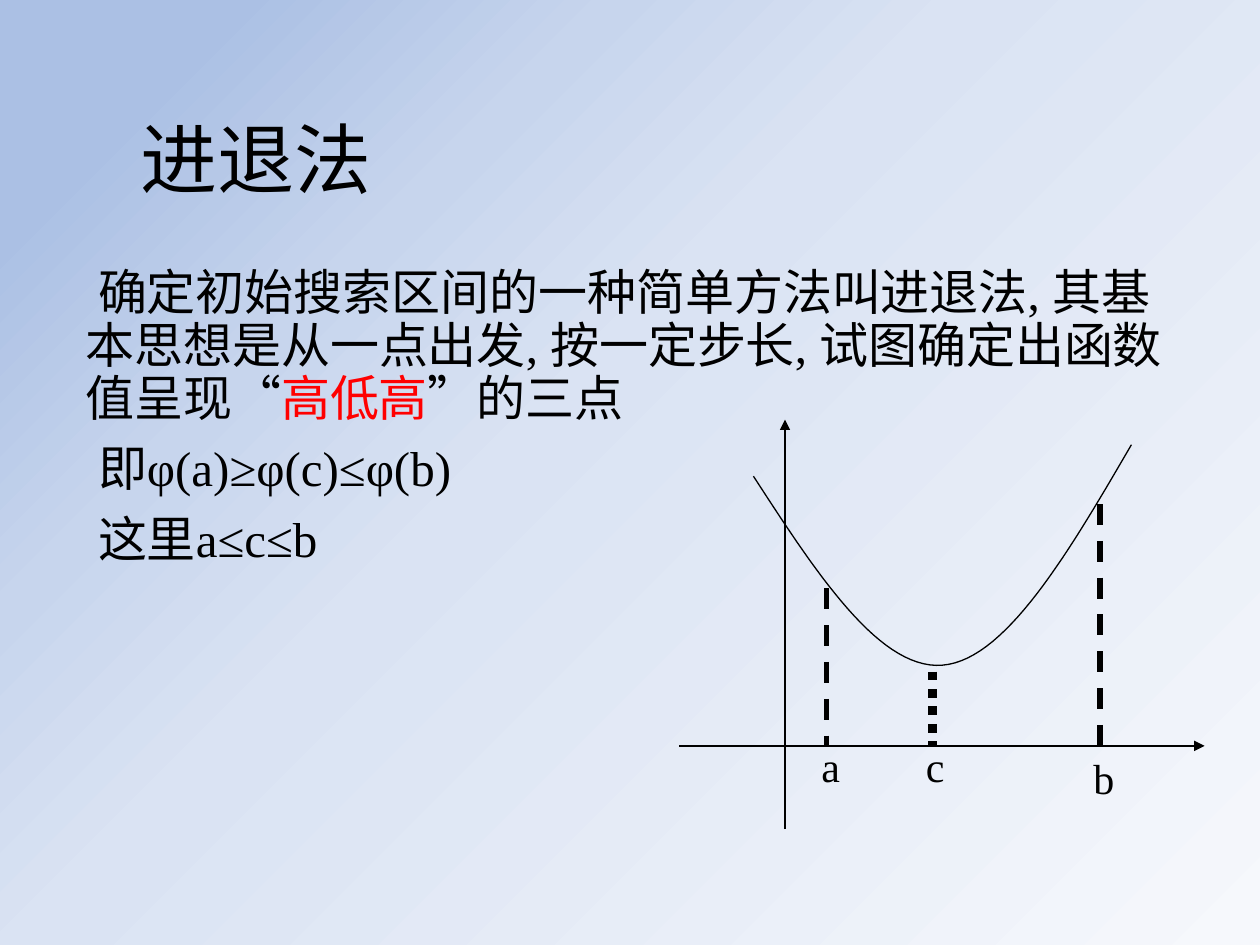
from lxml import etree
from pptx import Presentation
from pptx.dml.color import RGBColor
from pptx.enum.dml import MSO_LINE
from pptx.enum.shapes import MSO_CONNECTOR
from pptx.enum.text import MSO_ANCHOR, MSO_AUTO_SIZE
from pptx.oxml import parse_xml
from pptx.oxml.ns import nsdecls, qn
from pptx.util import Inches, Pt

BLACK, RED = "000000", "FF0000"
SERIF, SANS = "Times New Roman", "Calibri"
GRADIENT = [(5, "ABC0E4"), (11, "ABC0E4"), (28, "C7D5ED"), (44, "DAE3F3"), (100, "F6F8FC")]


def rgb(value):
    return RGBColor.from_string(value)


def bezier(p0, p1, p2, p3, steps=30):
    """Points along a cubic curve, without its starting point."""
    for i in range(1, steps + 1):
        t = i / steps
        weights = ((1 - t) ** 3, 3 * t * (1 - t) ** 2, 3 * t * t * (1 - t), t ** 3)
        yield tuple(sum(w * p[axis] for w, p in zip(weights, (p0, p1, p2, p3))) for axis in (0, 1))


class Builder:
    def __init__(self, slide):
        self.s = slide

    def background(self, stops, angle):
        gs = "".join(f'<a:gs pos="{pos * 1000}"><a:srgbClr val="{color}"/></a:gs>'
                     for pos, color in stops)
        bg = parse_xml(f'<p:bg {nsdecls("p", "a")}><p:bgPr><a:gradFill><a:gsLst>{gs}</a:gsLst>'
                       f'<a:lin ang="{angle * 60000}" scaled="0"/></a:gradFill>'
                       '<a:effectLst/></p:bgPr></p:bg>')
        self.s.element.cSld.insert(0, bg)

    def text(self, box, paragraphs, size, font=SERIF, margin=0, indent=0, frame=None, spacing=None):
        """Add a text box; each paragraph is a list of (text, colour) runs."""
        tf = self.s.shapes.add_textbox(*map(Inches, box)).text_frame
        for name, value in {"word_wrap": True, **(frame or {})}.items():
            setattr(tf, name, value)
        for i, runs in enumerate(paragraphs):
            p = tf.add_paragraph() if i else tf.paragraphs[0]
            for name, value in (spacing or {}).items():
                setattr(p, name, value)
            pPr = p._p.get_or_add_pPr()
            pPr.set("marL", str(Inches(margin)))
            pPr.set("indent", str(Inches(indent)))
            for words, color in runs:
                r = p.add_run()
                r.text = words
                for name, value in {"size": Pt(size), "name": font}.items():
                    setattr(r.font, name, value)
                r.font.color.rgb = rgb(color)

    def line(self, start, end, width=0.75, dash=None, arrow=False):
        c = self.s.shapes.add_connector(MSO_CONNECTOR.STRAIGHT, *map(Inches, start + end))
        c.line.color.rgb = rgb(BLACK)
        c.line.width = Pt(width)
        if dash:
            c.line.dash_style = dash
        if arrow:
            etree.SubElement(c.line._get_or_add_ln(), qn("a:tailEnd"), type="triangle")
        etree.SubElement(c._element.spPr, qn("a:effectLst"))

    def curve(self, start, *segments):
        points = [start]
        for segment in segments:
            points += bezier(points[-1], *segment)
        points = [(Inches(x), Inches(y)) for x, y in points]
        fb = self.s.shapes.build_freeform(*points[0])
        fb.add_line_segments(points[1:], close=False)
        sp = fb.convert_to_shape()
        sp.shadow.inherit = False
        sp.fill.background()
        sp.line.color.rgb = rgb(BLACK)
        sp.line.width = Pt(0.75)


def main():
    prs = Presentation()
    prs.slide_width, prs.slide_height = Inches(10), Inches(7.5)
    b = Builder(prs.slides.add_slide(prs.slide_layouts[6]))
    b.background(GRADIENT, 45)

    b.text((0.33, 0.67, 9.34, 1.25), [[("进退法", BLACK)]], 44, SANS, margin=0.69,
           frame={"vertical_anchor": MSO_ANCHOR.MIDDLE}, spacing={"line_spacing": 0.9})
    b.text((0.33, 2.08, 9.25, 4.59), [
        [("确定初始搜索区间的一种简单方法叫进退法, 其基本思想是从一点出发, 按一定步长, "
          "试图确定出函数值呈现“", BLACK), ("高低高", RED), ("”的三点", BLACK)],
        [("即φ(a)≥φ(c)≤φ(b)", BLACK)],
        [("这里a≤c≤b", BLACK)],
    ], 28, margin=0.25, indent=0.1, spacing={"line_spacing": 0.9, "space_before": Pt(10)})

    axis_y = 5.92
    b.line((5.39, axis_y), (9.56, axis_y), arrow=True)
    b.line((6.23, 6.58), (6.23, 3.33), arrow=True)
    b.curve((5.98, 3.78),
            ((6.48, 4.55), (6.98, 5.32), (7.48, 5.28)),
            ((7.98, 5.24), (8.48, 4.39), (8.98, 3.53)))
    for x, top, width, dash in ((6.56, 4.67, 3, MSO_LINE.DASH),
                                (8.73, 4, 3, MSO_LINE.DASH),
                                (7.4, 5.33, 5, MSO_LINE.ROUND_DOT)):
        b.line((x, top), (x, axis_y), width, dash)
    for label, left, top, width in (("a", 6.42, 5.83, 0.33),
                                    ("c", 7.25, 5.83, 0.33),
                                    ("b", 8.58, 5.92, 0.25)):
        b.text((left, top, width, 0.5), [[(label, BLACK)]], 24,
               frame={"auto_size": MSO_AUTO_SIZE.SHAPE_TO_FIT_TEXT})

    prs.save("out.pptx")


if __name__ == "__main__":
    main()
